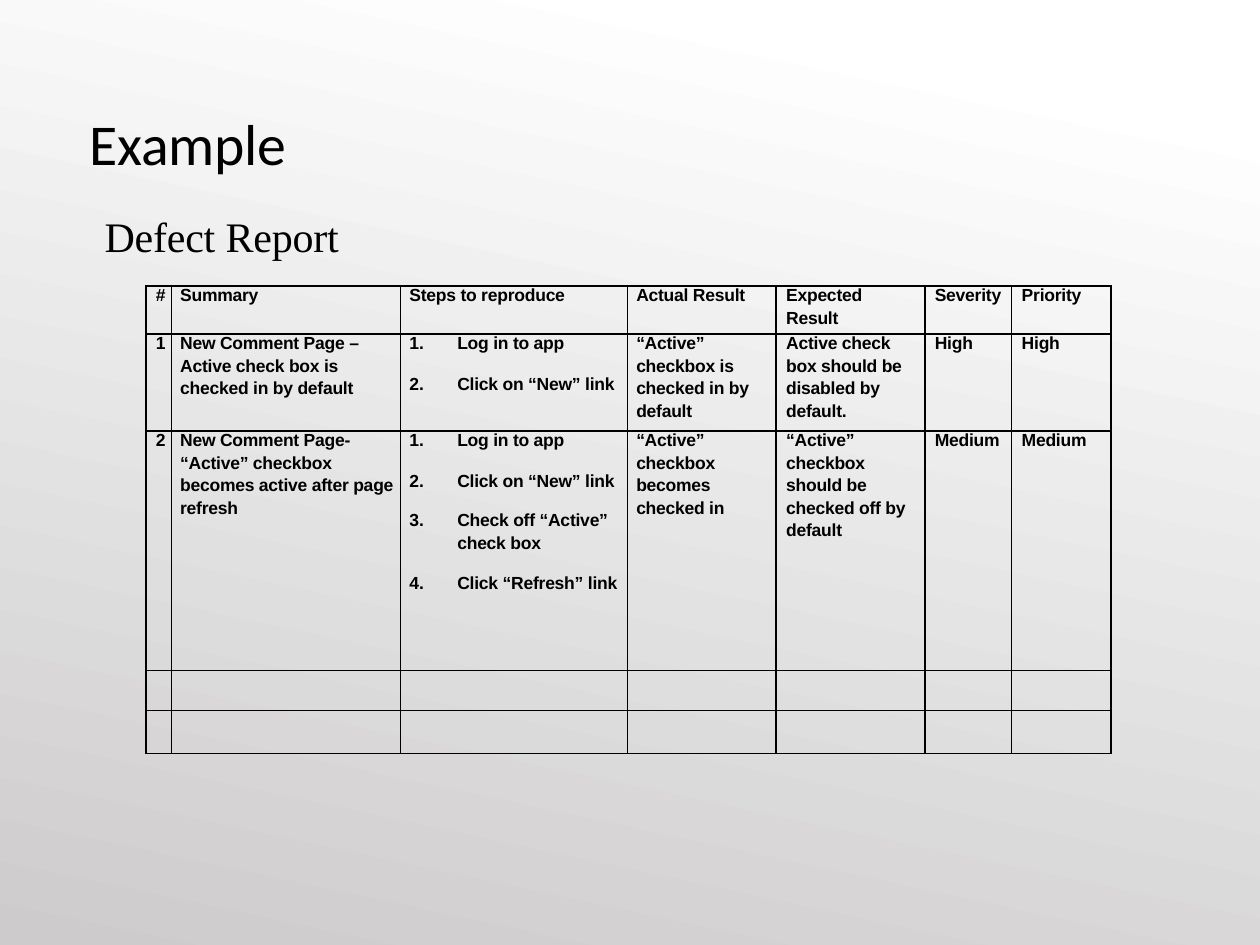
from dataclasses import dataclass

from lxml import etree
from pptx import Presentation
from pptx import util as u
from pptx.dml import color
from pptx.enum import text
from pptx.oxml import ns


@dataclass(frozen=True)
class Theme:
    ink: color.RGBColor = color.RGBColor(0x00, 0x00, 0x00)
    background_top: color.RGBColor = color.RGBColor(0xFF, 0xFF, 0xFF)
    background_bottom: color.RGBColor = color.RGBColor(0xCD, 0xCB, 0xCB)
    title_font: str = "Calibri"
    subtitle_font: str = "Times New Roman"
    table_font: str = "Arial"
    title_size: int = 33
    subtitle_size: int = 24
    table_size: int = 10
    border_width: int = 1


THEME = Theme()

COLUMN_WIDTHS = [0.2, 1.82, 1.8, 1.18, 1.18, 0.69, 0.79]
ROW_HEIGHTS = [0.38, 0.77, 1.9, 0.32, 0.34]
STEPS_COLUMN = 2
STEP_GAPS = [0.3, 11.9, 9.9, 10]

# Each cell is a list of paragraphs; the last two rows stay empty
DEFECTS = [
    [["#"], ["Summary"], ["Steps to reproduce"], ["Actual Result"],
     ["Expected", "Result"], ["Severity"], ["Priority"]],
    [["1"],
     ["New Comment Page –", "Active check box is checked in by default"],
     ["Log in to app", "Click on “New” link"],
     ["“Active”", "checkbox is checked in by default"],
     ["Active check", "box should be disabled by default."],
     ["High"], ["High"]],
    [["2"],
     ["New Comment Page-", "“Active” checkbox becomes active after page refresh"],
     ["Log in to app", "Click on “New” link",
      "Check off “Active” check box", "Click “Refresh” link"],
     ["“Active”", "checkbox becomes checked in"],
     ["“Active”", "checkbox should be checked off by default"],
     ["Medium"], ["Medium"]],
]


def add_element(parent, tag, **attributes):
    return etree.SubElement(parent, ns.qn(tag), attributes)


def format_runs(paragraph, font, size, bold=False):
    for run in paragraph.runs:
        run.font.name = font
        run.font.size = u.Pt(size)
        run.font.bold = bold
        run.font.color.rgb = THEME.ink
        run._r.get_or_add_rPr().set("spc", "-10")


def set_indent(paragraph, left, first_line=0):
    properties = paragraph._p.get_or_add_pPr()
    properties.set("marL", str(u.Inches(left)))
    properties.set("indent", str(u.Inches(first_line)))
    return properties


def paint_background(slide):
    fill = slide.background.fill
    fill.gradient()
    fill.gradient_angle = 258
    stops = [(0.1, THEME.background_top), (1, THEME.background_bottom)]
    for stop, (position, rgb) in zip(fill.gradient_stops, stops):
        stop.position = position
        stop.color.rgb = rgb


def add_heading(slide, words, box, font, size, anchor):
    shape = slide.shapes.add_textbox(*(u.Inches(length) for length in box))
    frame = shape.text_frame
    frame.word_wrap = True
    frame.vertical_anchor = anchor
    frame.margin_left = frame.margin_right = frame.margin_bottom = 0
    frame.margin_top = u.Inches(0.01)
    frame.text = words
    paragraph = frame.paragraphs[0]
    paragraph.space_before = u.Pt(1)
    set_indent(paragraph, 0.02)
    format_runs(paragraph, font, size)


def style_cell(cell):
    cell.margin_left = cell.margin_right = cell.margin_top = cell.margin_bottom = 0
    properties = cell._tc.get_or_add_tcPr()
    for side in ("a:lnL", "a:lnR", "a:lnT", "a:lnB"):
        line = add_element(properties, side, w=str(u.Pt(THEME.border_width)))
        add_element(add_element(line, "a:solidFill"), "a:srgbClr", val=str(THEME.ink))
    cell.fill.background()


def format_text_paragraph(paragraph, index, row, column):
    if column == 0:
        paragraph.alignment = text.PP_ALIGN.CENTER
        set_indent(paragraph, 0.03)
    else:
        set_indent(paragraph, 0.07 if column < 4 else 0.08)
    if index == 0:
        paragraph.space_before = u.Pt(0.3)
    elif row == 0:
        paragraph.space_before = u.Pt(1.8)
    else:
        paragraph.line_spacing = 1.15


def format_step(paragraph, index):
    paragraph.space_before = u.Pt(STEP_GAPS[index])
    if index > 1:
        paragraph.line_spacing = 1.15
    properties = set_indent(paragraph, 0.45, -0.38)
    add_element(properties, "a:buFont", typeface=THEME.table_font)
    add_element(properties, "a:buAutoNum", type="arabicPeriod")


def fill_cell(cell, lines, row, column):
    cell.text_frame.text = "\n".join(lines)
    for index, paragraph in enumerate(cell.text_frame.paragraphs):
        if row > 0 and column == STEPS_COLUMN:
            format_step(paragraph, index)
        else:
            format_text_paragraph(paragraph, index, row, column)
        format_runs(paragraph, THEME.table_font, THEME.table_size, bold=True)


def add_defect_table(slide):
    table = slide.shapes.add_table(
        len(ROW_HEIGHTS), len(COLUMN_WIDTHS), u.Inches(1.16), u.Inches(2.27),
        u.Inches(sum(COLUMN_WIDTHS)), u.Inches(sum(ROW_HEIGHTS))).table
    table.first_row = table.horz_banding = False
    for column, width in zip(table.columns, COLUMN_WIDTHS):
        column.width = u.Inches(width)
    for row, height in zip(table.rows, ROW_HEIGHTS):
        row.height = u.Inches(height)
    for cell in table.iter_cells():
        style_cell(cell)
    for row, entries in enumerate(DEFECTS):
        for column, lines in enumerate(entries):
            fill_cell(table.cell(row, column), lines, row, column)


def main():
    presentation = Presentation()
    presentation.slide_width = u.Inches(10)
    presentation.slide_height = u.Inches(7.5)
    slide = presentation.slides.add_slide(presentation.slide_layouts[6])

    paint_background(slide)

    # Headings
    add_heading(slide, "Example", (0.69, 0.4, 8.62, 1.45),
                THEME.title_font, THEME.title_size, text.MSO_ANCHOR.MIDDLE)
    add_heading(slide, "Defect Report", (0.81, 1.66, 1.9, 0.43),
                THEME.subtitle_font, THEME.subtitle_size, text.MSO_ANCHOR.TOP)

    # Defect report
    add_defect_table(slide)

    presentation.save("out.pptx")


if __name__ == "__main__":
    main()
